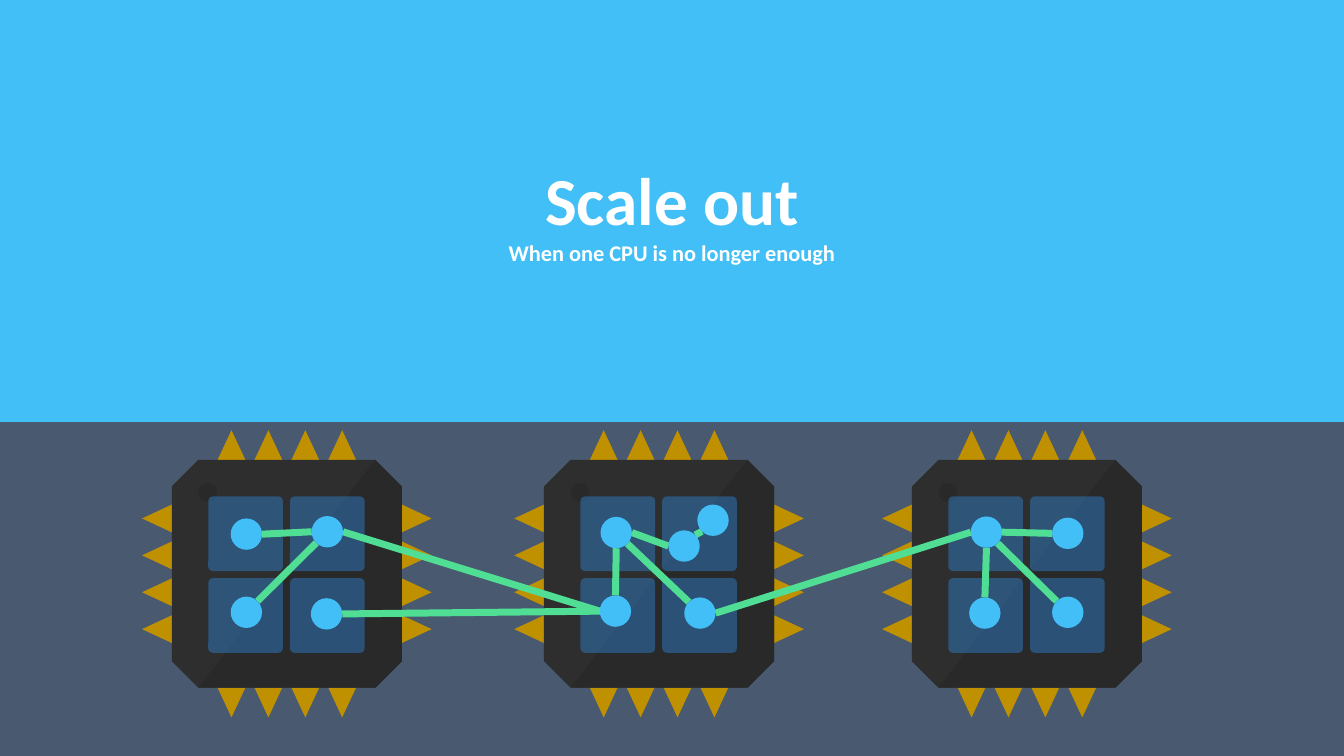
from enum import Enum
from math import cos, radians, sin
from typing import NamedTuple

from lxml.etree import SubElement
from pptx import Presentation
from pptx.dml.color import RGBColor
from pptx.enum.shapes import MSO_CONNECTOR, MSO_SHAPE
from pptx.enum.text import MSO_ANCHOR, MSO_AUTO_SIZE, PP_ALIGN
from pptx.oxml.ns import qn
from pptx.util import Cm, Pt

SKY, SLATE, WHITE, GREEN = "43BFF7", "485970", "FFFFFF", "50DE94"
GOLD, CHIP_DARK, CHIP_SHADE, CORE_BLUE = "BF9000", "2E2E2E", "292929", "2E75B6"

SLIDE_WIDTH, SLIDE_HEIGHT, BAND_HEIGHT = 33.87, 19.05, 10.63
TITLE_BOTTOM = 6.03
CHIP_LEFTS, CHIP_TOP = (22.98, 13.71, 4.33), 11.59
CHIP_WIDTH, CHIP_HEIGHT, CHIP_CORNER = 5.8, 5.74, 0.67
PIN_COUNT, PIN_WIDTH, PIN_PITCH, PIN_LENGTH = 4, 0.7, 0.93, 0.75
CORE_OFFSET, CORE_SIZE, CORE_PITCH = 0.92, 1.88, 2.06
NODE_SIZE = 0.79


class Side(Enum):
    """Points on a node's rim, as clockwise angles from the right."""
    RIGHT = 0
    LOWER_RIGHT = 45
    BOTTOM = 90
    LOWER_LEFT = 135
    LEFT = 180
    UPPER_LEFT = 225
    TOP = 270
    UPPER_RIGHT = 315


class Node(NamedTuple):
    """Centre of a network node, in centimetres."""
    x: float
    y: float

    def rim(self, side: Side) -> tuple[float, float]:
        """Return the point on the rim at the given side."""
        angle = radians(side.value)
        return self.x + NODE_SIZE / 2 * cos(angle), self.y + NODE_SIZE / 2 * sin(angle)


class Link(NamedTuple):
    """Line between the rims of two named nodes."""
    start: str
    start_side: Side
    end: str
    end_side: Side


NODES = {
    "left 1": Node(6.21, 13.46), "left 2": Node(8.25, 13.4),
    "left 3": Node(6.21, 15.43), "left 4": Node(8.23, 15.47),
    "middle 1": Node(15.53, 13.42), "middle 2": Node(17.97, 13.11),
    "middle 3": Node(15.51, 15.4), "middle 4": Node(17.64, 15.45),
    "middle hub": Node(17.24, 13.76),
    "right 1": Node(24.86, 13.41), "right 2": Node(26.91, 13.44),
    "right 3": Node(24.82, 15.45), "right 4": Node(26.91, 15.43),
}
LINKS = (
    Link("right 1", Side.LEFT, "middle 4", Side.RIGHT),
    Link("middle 3", Side.LEFT, "left 2", Side.RIGHT),
    Link("middle 3", Side.LEFT, "left 4", Side.RIGHT),
    Link("middle 1", Side.BOTTOM, "middle 3", Side.TOP),
    Link("left 2", Side.LEFT, "left 1", Side.RIGHT),
    Link("left 2", Side.LOWER_LEFT, "left 3", Side.UPPER_RIGHT),
    Link("right 1", Side.BOTTOM, "right 3", Side.TOP),
    Link("right 1", Side.LOWER_RIGHT, "right 4", Side.UPPER_LEFT),
    Link("middle 1", Side.LOWER_RIGHT, "middle 4", Side.UPPER_LEFT),
    Link("right 1", Side.RIGHT, "right 2", Side.LEFT),
    Link("middle hub", Side.LEFT, "middle 1", Side.RIGHT),
    Link("middle hub", Side.UPPER_RIGHT, "middle 2", Side.LOWER_LEFT),
)


def paint(fill, colour: str) -> None:
    """Make a fill solid in the given hex colour."""
    fill.solid()
    fill.fore_color.rgb = RGBColor.from_string(colour)


def finish(shape, colour: str):
    """Give a shape a flat fill without outline or shadow."""
    paint(shape.fill, colour)
    shape.line.fill.background()
    shape.shadow.inherit = False
    return shape


def add_block(shapes, kind: MSO_SHAPE, left: float, top: float,
              width: float, height: float, colour: str):
    """Add a flat preset shape."""
    return finish(shapes.add_shape(kind, Cm(left), Cm(top), Cm(width), Cm(height)), colour)


def add_outline(shapes, contours: list, colour: str) -> None:
    """Add one freeform made of closed contours."""
    contours = [[(Cm(x), Cm(y)) for x, y in contour] for contour in contours]
    builder = shapes.build_freeform(*contours[0][0])
    for index, (first, *others) in enumerate(contours):
        if index:
            builder.move_to(*first)
        builder.add_line_segments(others, close=True)
    finish(builder.convert_to_shape(), colour)


def pin_contours(left: float, top: float) -> list:
    """Return the triangular pins on all four sides of a chip."""
    right, bottom = left + CHIP_WIDTH, top + CHIP_HEIGHT
    span = (PIN_COUNT - 1) * PIN_PITCH + PIN_WIDTH
    contours = []
    for index in range(PIN_COUNT):
        x = left + (CHIP_WIDTH - span) / 2 + index * PIN_PITCH
        y = top + (CHIP_HEIGHT - span) / 2 + index * PIN_PITCH
        for edge, tip in ((top, top - PIN_LENGTH), (bottom, bottom + PIN_LENGTH)):
            contours.append([(x, edge), (x + PIN_WIDTH, edge), (x + PIN_WIDTH / 2, tip)])
        for edge, tip in ((left, left - PIN_LENGTH), (right, right + PIN_LENGTH)):
            contours.append([(edge, y), (edge, y + PIN_WIDTH), (tip, y + PIN_WIDTH / 2)])
    return contours


def add_chip(slide, left: float, top: float) -> None:
    """Draw a four-core processor as one group."""
    shapes = slide.shapes.add_group_shape().shapes
    right, bottom = left + CHIP_WIDTH, top + CHIP_HEIGHT
    add_outline(shapes, pin_contours(left, top), GOLD)
    body = add_block(shapes, MSO_SHAPE.OCTAGON, left, top, CHIP_WIDTH, CHIP_HEIGHT, CHIP_DARK)
    body.adjustments[0] = CHIP_CORNER / CHIP_HEIGHT
    add_outline(shapes, [[
        (left + CHIP_CORNER, bottom), (right - CHIP_CORNER, top),
        (right, top + CHIP_CORNER), (right, bottom - CHIP_CORNER),
        (right - CHIP_CORNER, bottom)]], CHIP_SHADE)
    add_block(shapes, MSO_SHAPE.OVAL, left + CHIP_CORNER, top + 0.58, 0.48, 0.48, CHIP_SHADE)
    for row in range(2):
        for column in range(2):
            core = add_block(shapes, MSO_SHAPE.ROUNDED_RECTANGLE,
                             left + CORE_OFFSET + column * CORE_PITCH,
                             top + CORE_OFFSET + row * CORE_PITCH,
                             CORE_SIZE, CORE_SIZE, CORE_BLUE)
            core.adjustments[0] = 0.06
            colour = core._element.spPr.find(qn("a:solidFill"))[0]
            SubElement(colour, qn("a:alpha"), val="55000")


def add_network(slide) -> None:
    """Draw the links and the nodes above them as one group."""
    shapes = slide.shapes.add_group_shape().shapes
    for link in LINKS:
        start = NODES[link.start].rim(link.start_side)
        end = NODES[link.end].rim(link.end_side)
        connector = shapes.add_connector(MSO_CONNECTOR.STRAIGHT, *map(Cm, start + end))
        paint(connector.line.fill, GREEN)
        connector.line.width = Pt(5)
        SubElement(connector._element.spPr, qn("a:effectLst"))
    for node in NODES.values():
        add_block(shapes, MSO_SHAPE.OVAL, node.x - NODE_SIZE / 2, node.y - NODE_SIZE / 2,
                  NODE_SIZE, NODE_SIZE, SKY)


def set_heading(placeholder, text: str, size: int, top: float, height: float,
                anchor: MSO_ANCHOR) -> None:
    """Place a heading across the slide and format it."""
    placeholder.left, placeholder.top = Cm(0), Cm(top)
    placeholder.width, placeholder.height = Cm(SLIDE_WIDTH), Cm(height)
    frame = placeholder.text_frame
    frame.text = text
    frame.auto_size = MSO_AUTO_SIZE.NONE
    frame.vertical_anchor = anchor
    frame.margin_top = frame.margin_bottom = Cm(0)
    paragraph = frame.paragraphs[0]
    paragraph.alignment = PP_ALIGN.CENTER
    paragraph.space_before = Pt(0)
    font = paragraph.font
    font.name, font.size, font.bold = "Calibri", Pt(size), True
    font.color.rgb = RGBColor.from_string(WHITE)


presentation = Presentation()
presentation.slide_width, presentation.slide_height = Cm(SLIDE_WIDTH), Cm(SLIDE_HEIGHT)
slide = presentation.slides.add_slide(presentation.slide_layouts[0])
paint(slide.background.fill, SLATE)

band = add_block(slide.shapes, MSO_SHAPE.RECTANGLE, 0, 0, SLIDE_WIDTH, BAND_HEIGHT, SKY)
slide.shapes.title._element.addprevious(band._element)
set_heading(slide.shapes.title, "Scale out", 48, TITLE_BOTTOM - 2.2, 2.2, MSO_ANCHOR.BOTTOM)
set_heading(slide.placeholders[1], "When one CPU is no longer enough", 16,
            TITLE_BOTTOM, 0.8, MSO_ANCHOR.TOP)

for chip_left in CHIP_LEFTS:
    add_chip(slide, chip_left, CHIP_TOP)
add_network(slide)

presentation.save("out.pptx")
